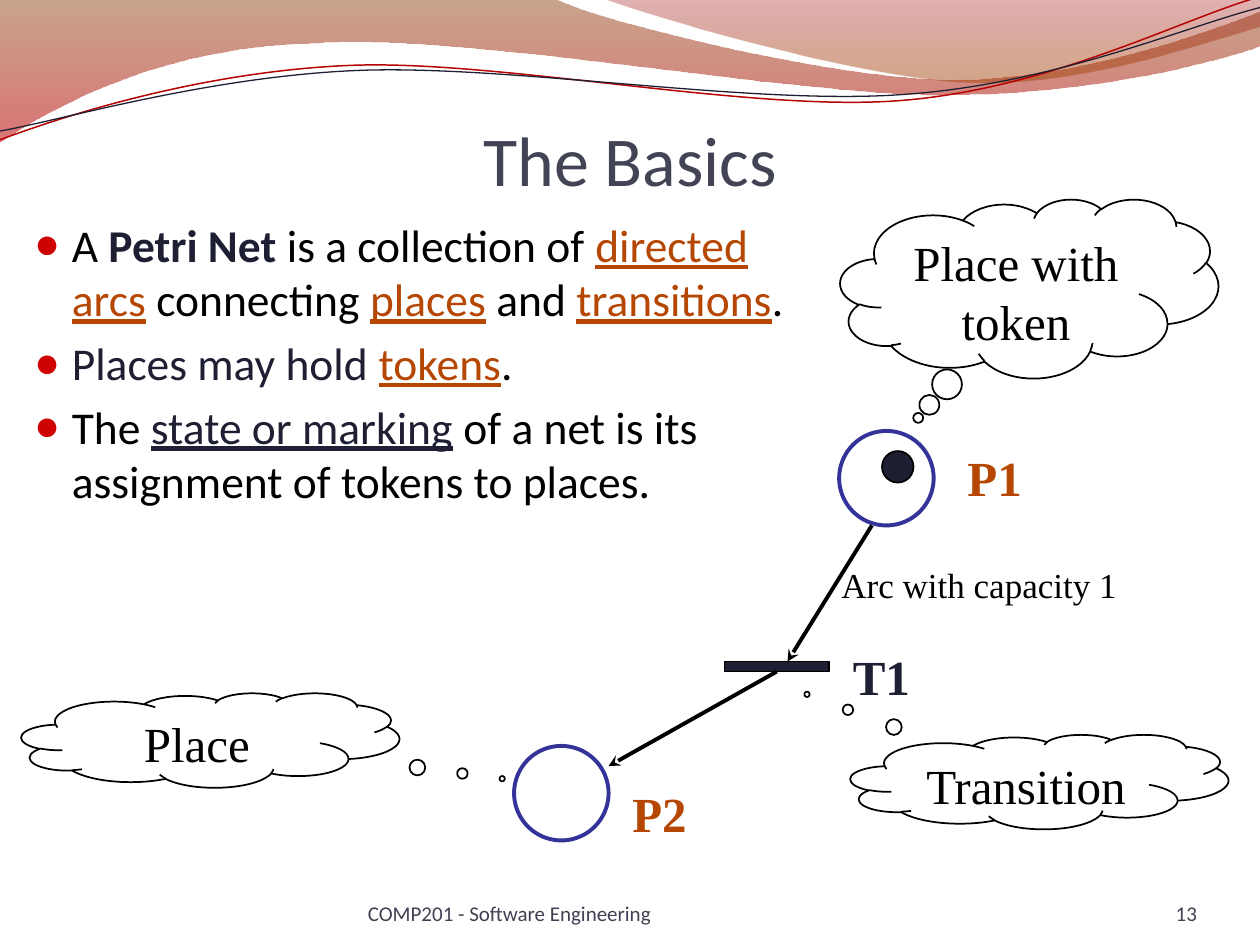
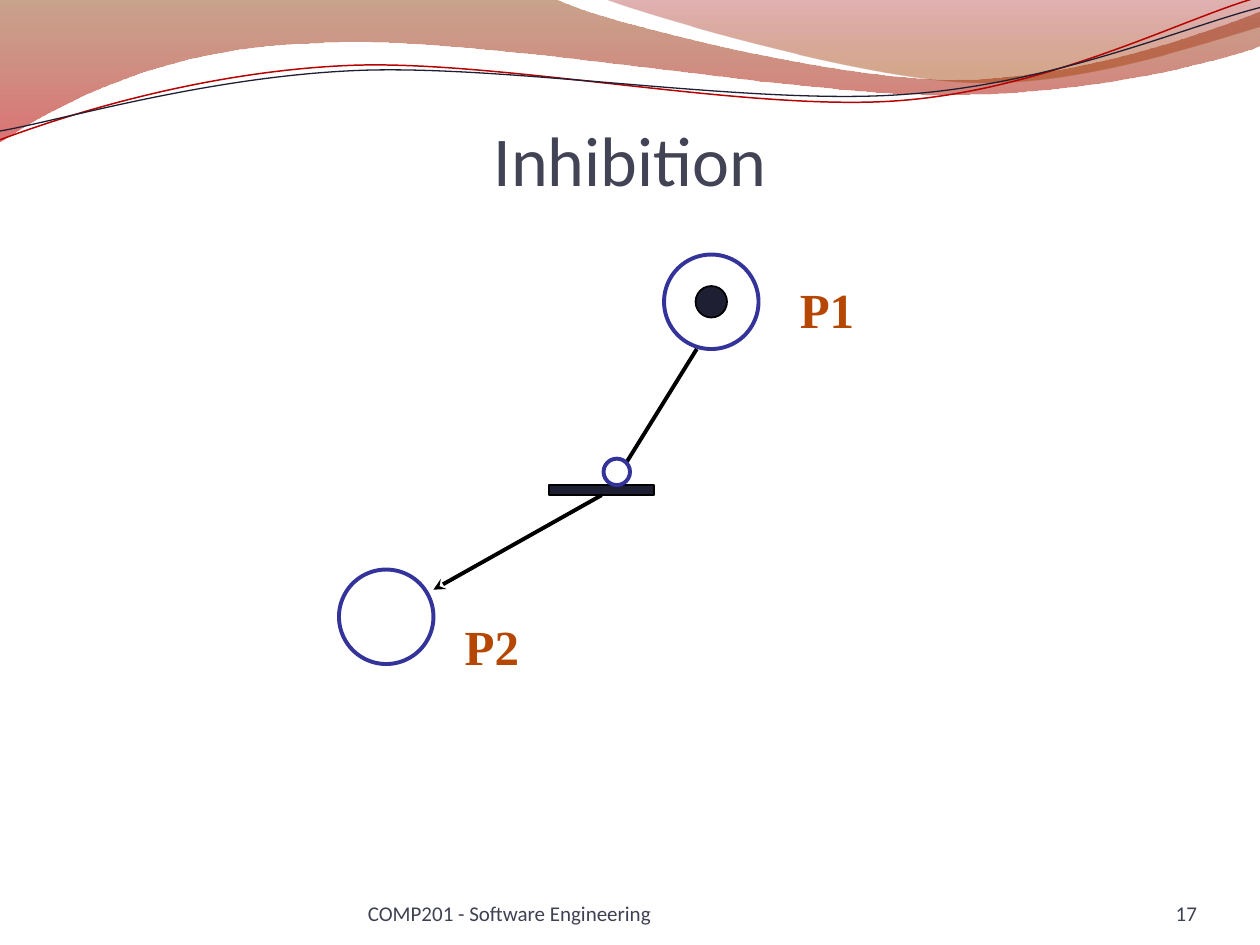
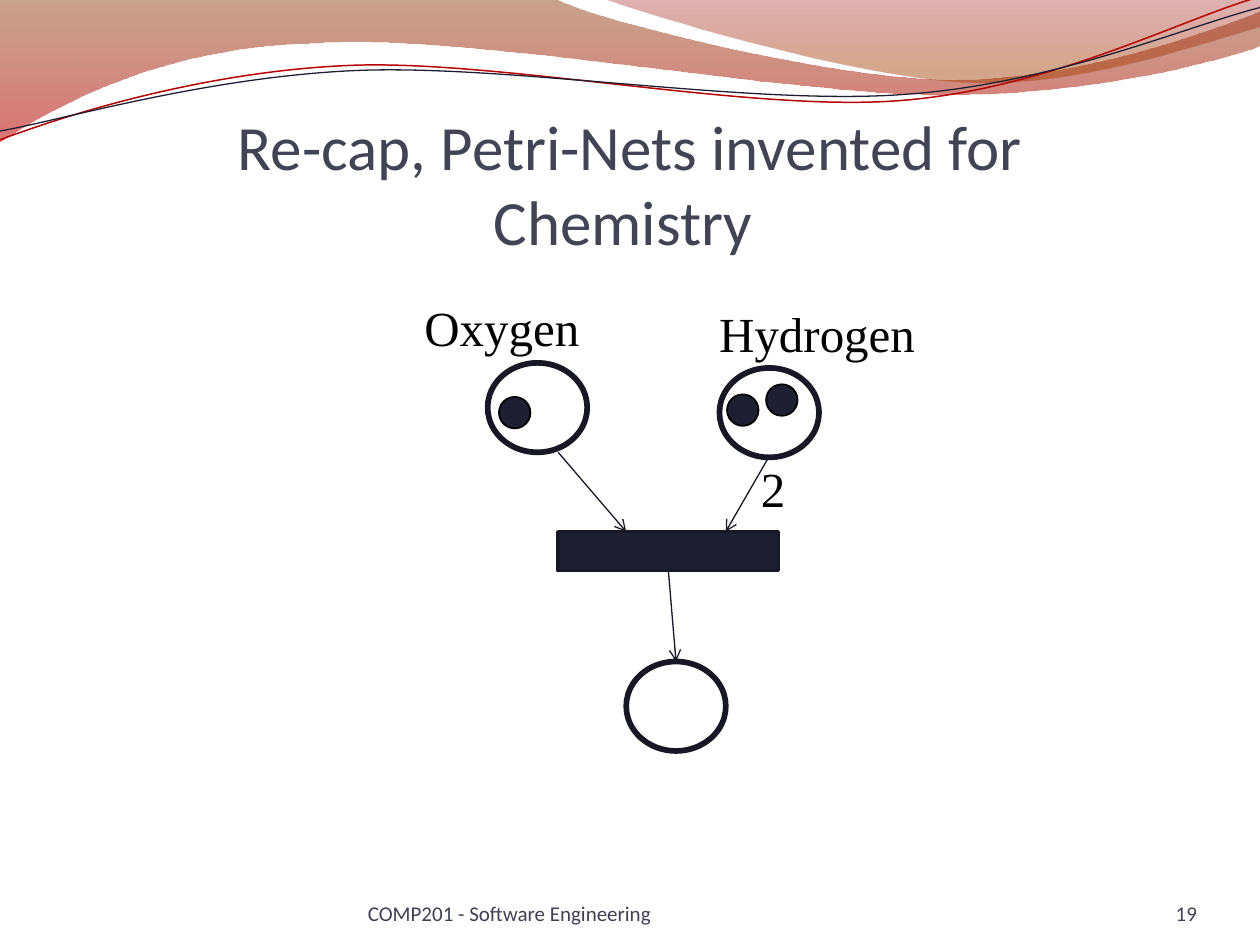
from dataclasses import dataclass

from lxml import etree
from pptx import Presentation
from pptx.dml.color import RGBColor
from pptx.enum import shapes, text
from pptx.oxml import ns
from pptx.util import Inches, Pt


@dataclass(frozen=True)
class Theme:
    sans: str = "Calibri"
    serif: str = "Times New Roman"
    black: str = "000000"
    white: str = "FFFFFF"
    navy: str = "1F1F33"
    dark_navy: str = "171726"
    blue: str = "333399"
    orange: str = "B54703"
    bullet: str = "CE0202"
    title: str = "424456"
    footer: str = "3F4152"
    red_line: str = "B60202"
    title_size: float = 40
    long_title_size: float = 36
    body_size: float = 26
    label_size: float = 28
    note_size: float = 20
    footer_size: float = 12


T = Theme()
COURSE = "COMP201 - Software Engineering"
OVAL = shapes.MSO_SHAPE.OVAL
BAR = shapes.MSO_SHAPE.RECTANGLE
CLOUD = shapes.MSO_SHAPE.CLOUD_CALLOUT
PLACE = 0.75
TOKEN = 0.25
BAR_WIDTH, BAR_HEIGHT = 0.83, 0.08
VESSEL_WIDTH, VESSEL_HEIGHT = 0.79, 0.71

BANDS = [
    ((0, 0), [
        [(4.4, -0.01)],
        [(4.76, 0.17), (6.64, 0.63), (7.58, 0.63)],
        [(8.53, 0.63), (9.58, 0.26), (10, 0.09)],
        [(10.01, 0.36)],
        [(9.83, 0.44), (8.7, 0.76), (7.46, 0.75)],
        [(6.22, 0.75), (3.82, 0.28), (2.57, 0.34)],
        [(1.29, 0.36), (0.46, 0.83), (-0.01, 1.13)],
    ], [(0, "883400", 45), (1, "BD0000", 55)]),
    ((4.79, -0.01), [
        [(5.09, 0.11), (6.82, 0.62), (7.69, 0.65)],
        [(8.56, 0.69), (9.61, 0.32), (10, 0.21)],
        [(10, 0)],
    ], [(0, "9A0000", 30), (0.8, "A23E00", 45)]),
]
STRANDS = [
    ((0, 1.11), [
        [(0.48, 0.93), (1.58, 0.57), (2.77, 0.52)],
        [(3.95, 0.47), (5.93, 0.89), (7.13, 0.8)],
        [(8.33, 0.71), (9.38, 0.15), (9.98, -0.02)],
    ], T.red_line, 0.85),
    ((0, 1.04), [
        [(0.47, 0.96), (1.64, 0.61), (2.83, 0.56)],
        [(4.03, 0.51), (5.97, 0.84), (7.17, 0.75)],
        [(8.36, 0.67), (9.41, 0.21), (10, 0.06)],
    ], T.navy, 0.75),
]


def rgb(value):
    return RGBColor.from_string(value)


def box(*lengths):
    return [Inches(length) for length in lengths]


def move(placeholder, *lengths):
    (placeholder.left, placeholder.top,
     placeholder.width, placeholder.height) = box(*lengths)


def add_run(paragraph, words, size, color, font=T.sans, bold=False, underline=False):
    run = paragraph.add_run()
    run.text = words
    run.font.name = font
    run.font.size = Pt(size)
    run.font.color.rgb = rgb(color)
    run.font.bold = bold
    run.font.underline = underline


def no_insets(frame, bottom=0):
    frame.margin_left = frame.margin_top = frame.margin_right = 0
    frame.margin_bottom = Inches(bottom)
    frame.vertical_anchor = text.MSO_ANCHOR.BOTTOM


def add_label(slide, words, left, top, width, color=T.black, bold=False,
              size=T.label_size, height=0.57):
    frame = slide.shapes.add_textbox(*box(left, top, width, height)).text_frame
    frame.word_wrap = True
    add_run(frame.paragraphs[0], words, size, color, T.serif, bold)


def add_figure(slide, kind, left, top, width, height, fill, line, weight):
    figure = slide.shapes.add_shape(kind, *box(left, top, width, height))
    figure.shadow.inherit = False
    if fill:
        figure.fill.solid()
        figure.fill.fore_color.rgb = rgb(fill)
    else:
        figure.fill.background()
    figure.line.color.rgb = rgb(line)
    figure.line.width = Pt(weight)
    return figure


def add_token(slide, left, top):
    add_figure(slide, OVAL, left, top, TOKEN, TOKEN, T.navy, T.black, 1)


def add_cloud(slide, words, left, top, height, tail):
    cloud = add_figure(slide, CLOUD, left, top, 3, height, None, T.black, 1)
    cloud.adjustments[0], cloud.adjustments[1] = tail
    frame = cloud.text_frame
    frame.word_wrap = True
    frame.vertical_anchor = text.MSO_ANCHOR.TOP
    frame.paragraphs[0].alignment = text.PP_ALIGN.CENTER
    add_run(frame.paragraphs[0], words, T.label_size, T.black, T.serif)


def add_arc(slide, start, end, color, weight, head):
    arc = slide.shapes.add_connector(
        shapes.MSO_CONNECTOR.STRAIGHT, *box(*start, *end))
    arc.line.color.rgb = rgb(color)
    arc.line.width = Pt(weight)
    properties = arc.element.spPr
    outline = properties.find(ns.qn("a:ln"))
    etree.SubElement(outline, ns.qn("a:tailEnd"), type=head)
    etree.SubElement(properties, ns.qn("a:effectLst"))
    return arc


def add_curve(slide, start, steps, closed):
    builder = slide.shapes.build_freeform(*box(*start), scale=1.0)
    builder.add_line_segments(
        [box(*point) for step in steps for point in step], close=closed)
    curve = builder.convert_to_shape()
    curve.shadow.inherit = False
    segments = iter(list(curve.element.iter(ns.qn("a:lnTo"))))
    for step in steps:
        parts = [next(segments) for _ in step]
        if len(parts) == 3:
            bezier = etree.Element(ns.qn("a:cubicBezTo"))
            parts[0].addprevious(bezier)
            for part in parts:
                bezier.append(part[0])
                part.getparent().remove(part)
    return curve


def add_waves(slide, master):
    waves = []
    for start, steps, stops in BANDS:
        band = add_curve(slide, start, steps, True)
        band.line.fill.background()
        band.fill.gradient()
        band.fill.gradient_angle = 270
        for stop, (position, color, opacity) in zip(band.fill.gradient_stops, stops):
            stop.position = position
            stop.color.rgb = rgb(color)
        tints = band.element.spPr.iter(ns.qn("a:srgbClr"))
        for tint, (position, color, opacity) in zip(tints, stops):
            etree.SubElement(tint, ns.qn("a:alpha"), val=str(opacity * 1000))
        waves.append(band)
    for start, steps, color, weight in STRANDS:
        strand = add_curve(slide, start, steps, False)
        strand.fill.background()
        strand.line.color.rgb = rgb(color)
        strand.line.width = Pt(weight)
        waves.append(strand)
    for depth, wave in enumerate(waves, start=2):
        master.shapes.element.insert(depth, wave.element)


def add_title(slide, lines, top=0.77, size=T.title_size):
    title = slide.shapes.title
    move(title, 0.5, top, 9, 0.87)
    frame = title.text_frame
    frame.auto_size = text.MSO_AUTO_SIZE.NONE
    no_insets(frame, bottom=0.05)
    heading = frame.paragraphs[0]
    heading.alignment = text.PP_ALIGN.CENTER
    for index, line in enumerate(lines):
        if index:
            heading.add_line_break()
        add_run(heading, line, size, T.title)


def add_footer(slide, number):
    for words, left, width, alignment in (
            (COURSE, 2.92, 3.67, text.PP_ALIGN.LEFT),
            (number, 8.67, 0.83, text.PP_ALIGN.RIGHT)):
        frame = slide.shapes.add_textbox(*box(left, 6.95, width, 0.4)).text_frame
        frame.word_wrap = True
        no_insets(frame)
        frame.paragraphs[0].alignment = alignment
        add_run(frame.paragraphs[0], words, T.footer_size, T.footer)


def add_bullet(paragraph):
    properties = paragraph._p.get_or_add_pPr()
    properties.set("marL", str(Inches(0.3)))
    properties.set("indent", str(Inches(-0.3)))
    color = etree.SubElement(properties, ns.qn("a:buClr"))
    etree.SubElement(color, ns.qn("a:srgbClr"), val=T.bullet)
    etree.SubElement(properties, ns.qn("a:buSzPct"), val="95000")
    etree.SubElement(properties, ns.qn("a:buChar"), char="●")


def add_definitions(slide, left, top):
    def plain(words, color=T.black):
        return words, color, False, False

    def term(words, color=T.orange):
        return words, color, False, True

    definitions = [
        [plain("A "), ("Petri Net", T.navy, True, False),
         plain(" is a collection of "), term("directed arcs"),
         plain(" connecting "), term("places"), plain(" and "),
         term("transitions"), plain(".")],
        [plain("Places may hold ", T.navy), term("tokens"), plain(".")],
        [plain("The "), term("state or marking", T.navy),
         plain(" of a net is its assignment of tokens to places.")],
    ]
    body = slide.placeholders[1]
    move(body, left, top, 6.5, 4.5)
    frame = body.text_frame
    frame.auto_size = text.MSO_AUTO_SIZE.NONE
    for index, definition in enumerate(definitions):
        paragraph = frame.add_paragraph() if index else frame.paragraphs[0]
        add_bullet(paragraph)
        for words, color, bold, underline in definition:
            add_run(paragraph, words, T.body_size, color,
                    bold=bold, underline=underline)


def add_petri_net(slide, left, top, token, label_shift=(0, 0), inhibited=False):
    def at(x, y):
        return left + x, top + y

    for spot in ((2.58, 0), (0, 2.5)):
        add_figure(slide, OVAL, *at(*spot), PLACE, PLACE, None, T.blue, 2.25)
    transition = add_figure(slide, BAR, *at(1.67, 1.83), BAR_WIDTH, BAR_HEIGHT,
                            T.navy, T.black, 1)
    add_arc(slide, at(2.84, 0.75), at(2.17, 1.83), T.black, 2.25, "stealth")
    output = add_arc(slide, at(2.09, 1.91), at(0.75, 2.66), T.black, 2.25, "stealth")
    output.begin_connect(transition, 2)
    if inhibited:
        add_figure(slide, OVAL, *at(2.1, 1.62), 0.21, 0.21, T.white, T.blue, 2.25)
    shift_x, shift_y = label_shift
    for name, x, y in (("P1", 3.5, 0.08), ("P2", 0.84, 2.75)):
        add_label(slide, name, *at(x + shift_x, y + shift_y), 0.67, T.orange, True)
    add_token(slide, *at(*token))


def add_reaction(slide, left, top):
    def at(x, y):
        return left + x, top + y

    oxygen, hydrogen, water = [
        add_figure(slide, OVAL, *at(*spot), VESSEL_WIDTH, VESSEL_HEIGHT,
                   T.white, T.dark_navy, 3.25)
        for spot in ((0.6, 0.57), (2.44, 0.61), (1.7, 2.94))]
    for words, x, y, width in (("Hydrogen", 2.34, 0.05, 1.77),
                               ("Oxygen", 0, 0, 1.44)):
        add_label(slide, words, *at(x, y), width)
    reaction = add_figure(slide, BAR, *at(1.16, 1.91), 1.75, 0.31,
                          T.navy, T.dark_navy, 2)
    for start, end in (((1.16, 1.28), (1.7, 1.91)), ((2.83, 1.32), (2.49, 1.91))):
        add_arc(slide, at(*start), at(*end), T.dark_navy, 0.75, "arrow")
    product = add_arc(slide, at(2.03, 2.23), at(2.1, 2.94), T.dark_navy, 0.75, "arrow")
    product.begin_connect(reaction, 2)
    product.end_connect(water, 0)
    add_label(slide, "2", *at(2.67, 1.28), 0.4)
    for spot in ((0.69, 0.84), (2.5, 0.82), (2.81, 0.74)):
        add_token(slide, *at(*spot))


def build_basics(slide):
    add_title(slide, ["The Basics"])
    add_definitions(slide, 0.17, 1.67)
    add_petri_net(slide, 4.08, 3.42, token=(2.92, 0.16))
    add_label(slide, "T1", 6.67, 5.08, 0.67, T.navy, True)
    add_label(slide, "Arc with capacity 1", 6.58, 4.42, 2.5,
              size=T.note_size, height=0.43)
    add_cloud(slide, "Place with token", 6.67, 1.58, 1.42, (-0.294, 0.723))
    add_cloud(slide, "Transition", 6.75, 5.83, 0.75, (-0.615, -0.926))
    add_cloud(slide, "Place", 0.17, 5.5, 0.75, (0.772, 0.407))
    add_footer(slide, "13")


def build_inhibition(slide):
    add_title(slide, ["Inhibition"])
    add_petri_net(slide, 2.69, 2.02, token=(2.83, 0.25),
                  label_shift=(0.06, 0.07), inhibited=True)
    add_footer(slide, "17")


def build_chemistry(slide):
    add_title(slide, ["Re-cap, Petri-Nets invented for", "Chemistry "],
              top=1.23, size=T.long_title_size)
    add_reaction(slide, 3.27, 2.31)
    add_footer(slide, "19")


def main():
    deck = Presentation()
    deck.slide_width, deck.slide_height = box(10, 7.5)
    with_list, title_only = deck.slide_layouts[1], deck.slide_layouts[5]
    basics = deck.slides.add_slide(with_list)
    add_waves(basics, deck.slide_master)
    build_basics(basics)
    build_inhibition(deck.slides.add_slide(title_only))
    build_chemistry(deck.slides.add_slide(title_only))
    deck.save("out.pptx")


if __name__ == "__main__":
    main()
